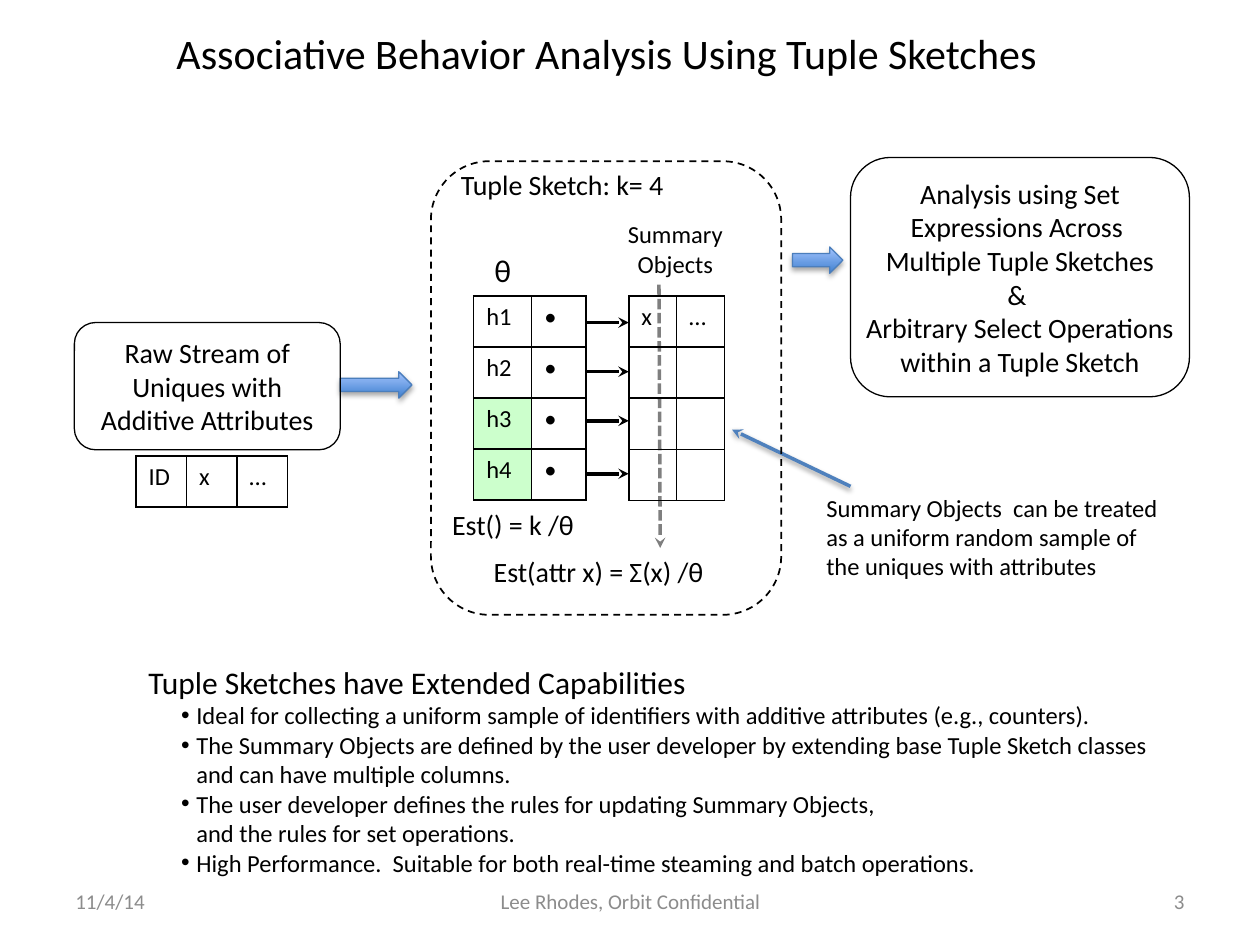
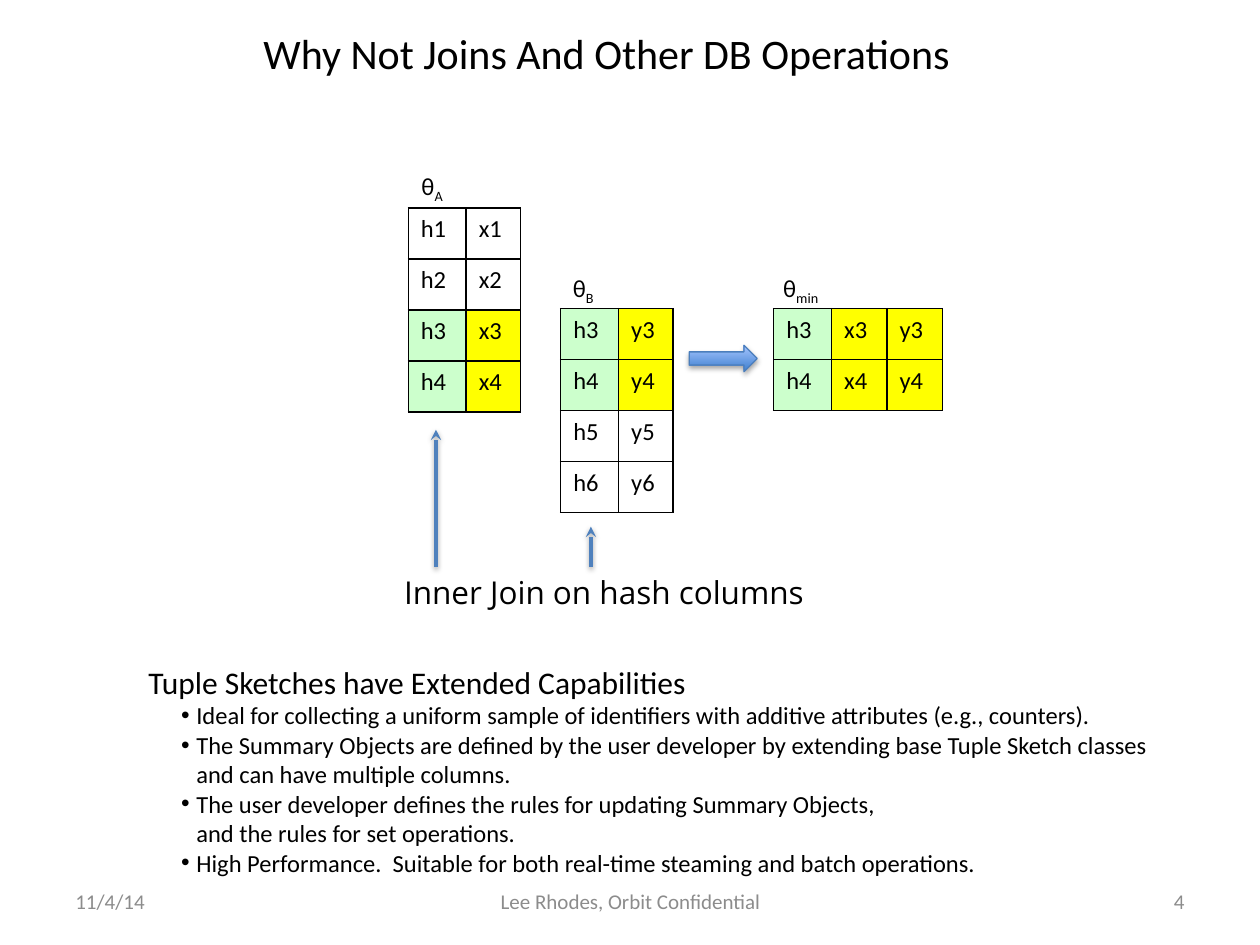
from lxml import etree
from pptx import Presentation
from pptx.dml.color import RGBColor
from pptx.enum.dml import MSO_LINE
from pptx.enum.shapes import MSO_CONNECTOR, MSO_SHAPE
from pptx.enum.text import MSO_ANCHOR, PP_ALIGN as Align
from pptx.oxml.ns import qn
from pptx.util import Inches, Pt

BLACK = RGBColor(0x00, 0x00, 0x00)
GREY = RGBColor(0x8C, 0x8C, 0x8C)
BLUE = RGBColor(0x4F, 0x81, 0xBD)
ARROW_EDGE = RGBColor(0x4B, 0x7E, 0xBC)
ARROW_DARK = RGBColor(0x3F, 0x80, 0xCE)
ARROW_LIGHT = RGBColor(0xA4, 0xC4, 0xFF)
GREEN = RGBColor(0xCC, 0xFF, 0xCC)
YELLOW = RGBColor(0xFF, 0xFF, 0x00)
FONT = "Calibri"
ROW_HEIGHT = 1.62 / 4
HASH_COLS = [0.46, 0.43]

CAPABILITIES = [
    "Tuple Sketches have Extended Capabilities",
    "Ideal for collecting a uniform sample of identifiers with additive attributes (e.g., counters).",
    "The Summary Objects are defined by the user developer by extending base Tuple Sketch classes\n"
    "and can have multiple columns.",
    "The user developer defines the rules for updating Summary Objects, \n"
    "and the rules for set operations.",
    "High Performance.  Suitable for both real-time steaming and batch operations.",
]

# Places are left, top, width, height; pointers are from x, y to x, y
PAGES = [
    {
        "title": "Associative Behavior Analysis Using Tuple Sketches",
        "number": "3",
        "summary_line": [(5.23, 2.26, 5.24, 4.35)],
        "row_links": [(4.65, y, 4.99, y) for y in (2.56, 2.95, 3.34, 3.76)],
        "pointers": [(6.75, 3.86, 5.81, 3.41)],
        "arrows": [(2.7, 2.95, 0.57, 0.21), (6.29, 1.96, 0.4, 0.21)],
        "boxes": [
            ((6.75, 1.25, 2.69, 1.9), 0, [
                "Analysis using Set Expressions Across ",
                "Multiple Tuple Sketches\n& ",
                "Arbitrary Select Operations\nwithin a Tuple Sketch"]),
            ((3.42, 1.28, 2.78, 3.6), 0.1, []),
            ((0.59, 2.56, 2.11, 1.01), 0.1,
             ["Raw Stream of\nUniques with\nAdditive Attributes"]),
        ],
        "tables": [
            (4.99, 2.35, [0.38, 0.38], [["x", "…"]] + [["", ""]] * 3),
            (3.76, 2.35, HASH_COLS, [[f"h{row}", "•"] for row in range(1, 5)]),
            (1.08, 3.62, [0.4] * 3, [["ID", "x", "…"]]),
        ],
        "labels": [
            ("Tuple Sketch: k= 4", "", (3.56, 1.28, 2.41, 0.37), 16, Align.LEFT, FONT),
            ("Est() = k /θ", "", (3.49, 3.98, 1.36, 0.37), 16, Align.LEFT, FONT),
            ("θ", "", (3.76, 1.94, 0.46, 0.4), 18, Align.CENTER, FONT),
            ("Summary Objects  can be treated as a uniform random sample of "
             "the uniques with attributes", "", (6.46, 3.86, 2.93, 0.81), 14, Align.LEFT, FONT),
            ("Summary\nObjects", "", (4.76, 1.69, 1.2, 0.57), 14, Align.CENTER, FONT),
            ("Est(attr x) = Σ(x) /θ", "", (3.82, 4.35, 2.5, 0.37), 16, Align.LEFT, FONT),
        ],
    },
    {
        "title": "Why Not Joins And Other DB Operations",
        "number": "4",
        "summary_line": [],
        "row_links": [],
        "pointers": [(3.46, 4.5, 3.46, 3.41), (4.69, 4.5, 4.69, 4.18)],
        "arrows": [(5.47, 2.74, 0.54, 0.21)],
        "boxes": [],
        "tables": [
            (3.24, 1.65, HASH_COLS, [[f"h{row}", f"x{row}"] for row in range(1, 5)]),
            (4.45, 2.45, HASH_COLS, [[f"h{row}", f"y{row}"] for row in range(3, 7)]),
            (6.14, 2.45, [0.46, 0.44, 0.44],
             [[f"h{row}", f"x{row}", f"y{row}"] for row in (3, 4)]),
        ],
        "labels": [
            ("θ", "A", (3.2, 1.31, 0.46, 0.34), 14, Align.CENTER, FONT),
            ("θ", "B", (4.4, 2.12, 0.46, 0.34), 14, Align.CENTER, FONT),
            ("θ", "min", (6.06, 2.12, 0.59, 0.34), 14, Align.CENTER, FONT),
            ("Inner Join on hash columns", "", (3.01, 4.5, 3.57, 0.4), 18,
             Align.CENTER, "Open Sans"),
        ],
    },
]
JOINED_FILLS = {f"{column}{row}": GREEN if column == "h" else YELLOW
                for column in "hxy" for row in (3, 4)}


def write(frame, lines, size, align=Align.LEFT, color=BLACK, font=FONT, subscript=""):
    """Fill a text frame, one paragraph for each line."""
    frame.word_wrap = True
    for index, line in enumerate(lines):
        para = frame.paragraphs[0] if index == 0 else frame.add_paragraph()
        para.text = line
        para.alignment = align
        if subscript:
            span = para.add_run()
            span.text = subscript
            span.font._element.set("baseline", "-25000")
        for span in para.runs:
            span.font.size = Pt(size)
            span.font.name = font
            span.font.color.rgb = color


def set_shadow(shape, distance=0, opacity=0):
    """Replace the theme shadow by a soft one below, or by none."""
    effects = etree.SubElement(shape._element.spPr, qn("a:effectLst"))
    if opacity:
        shadow = etree.SubElement(effects, qn("a:outerShdw"), blurRad=str(Pt(3.1)),
                                  dist=str(Pt(distance)), dir="5400000", rotWithShape="0")
        tint = etree.SubElement(shadow, qn("a:srgbClr"), val="000000")
        etree.SubElement(tint, qn("a:alpha"), val=str(opacity * 1000))


deck = Presentation()
deck.slide_width, deck.slide_height = Inches(10), Inches(7.5)

for content in PAGES:
    page = deck.slides.add_slide(deck.slide_layouts[5])

    # Title
    title = page.shapes.title
    title.left, title.top, title.width, title.height = map(Inches, (1.24, 0.17, 7.15, 0.5))
    write(title.text_frame, [content["title"]], 24, Align.CENTER)

    # Connectors
    for kind, color in (("summary_line", BLACK), ("row_links", BLACK), ("pointers", BLUE)):
        for ends in content[kind]:
            link = page.shapes.add_connector(MSO_CONNECTOR.STRAIGHT, *map(Inches, ends))
            link.line.width = Pt(2)
            link.line.color.rgb = color
            outline = link._element.spPr.find(qn("a:ln"))
            if kind == "summary_line":
                link.line.dash_style = MSO_LINE.SQUARE_DOT
                tint = outline.find(".//" + qn("a:srgbClr"))
                etree.SubElement(tint, qn("a:alpha"), val="50000")
            etree.SubElement(outline, qn("a:tailEnd"), type="stealth")
            set_shadow(link, 1.6, 38 if kind == "pointers" else 0)

    # Block arrows
    for place in content["arrows"]:
        arrow = page.shapes.add_shape(MSO_SHAPE.RIGHT_ARROW, *map(Inches, place))
        arrow.fill.gradient()
        arrow.fill.gradient_angle = 90
        for stop, color in zip(arrow.fill.gradient_stops, (ARROW_DARK, ARROW_LIGHT)):
            stop.color.rgb = color
        arrow.line.color.rgb = ARROW_EDGE
        arrow.line.width = Pt(0.75)
        set_shadow(arrow, 1.8, 35)

    # Rounded boxes; the one without text is the dashed sketch frame
    for place, side_margin, lines in content["boxes"]:
        box = page.shapes.add_shape(MSO_SHAPE.ROUNDED_RECTANGLE, *map(Inches, place))
        box.fill.background()
        box.line.color.rgb = BLACK
        box.line.width = Pt(0.75 if lines else 1)
        if not lines:
            box.line.dash_style = MSO_LINE.DASH
        set_shadow(box)
        frame = box.text_frame
        frame.margin_left = frame.margin_right = Inches(side_margin)
        frame.vertical_anchor = MSO_ANCHOR.MIDDLE
        write(frame, lines, 16, Align.CENTER)

    # Tables
    for left, top, widths, rows in content["tables"]:
        table = page.shapes.add_table(
            len(rows), len(widths), Inches(left), Inches(top),
            Inches(sum(widths)), Inches(ROW_HEIGHT * len(rows))).table
        table.first_row = table.horz_banding = False
        for column, width in zip(table.columns, widths):
            column.width = Inches(width)
        for cell, text in zip(table.iter_cells(), sum(rows, [])):
            if text:
                write(cell.text_frame, [text], 14)
            if text in JOINED_FILLS:
                cell.fill.solid()
                cell.fill.fore_color.rgb = JOINED_FILLS[text]
            else:
                cell.fill.background()
            properties = cell._tc.get_or_add_tcPr()
            for index, side in enumerate(("lnL", "lnR", "lnT", "lnB")):
                border = etree.Element(qn("a:" + side), w=str(Pt(1)))
                paint = etree.SubElement(border, qn("a:solidFill"))
                etree.SubElement(paint, qn("a:srgbClr"), val=str(BLACK))
                properties.insert(index, border)

    # Labels
    for text, subscript, place, size, align, font in content["labels"]:
        label = page.shapes.add_textbox(*map(Inches, place))
        write(label.text_frame, [text], size, align, font=font, subscript=subscript)

    # Capabilities: a heading and its bullets
    notes = page.shapes.add_textbox(*map(Inches, (1.08, 5.21, 8.42, 1.82)))
    write(notes.text_frame, CAPABILITIES, 14)
    heading, *bullets = notes.text_frame.paragraphs
    heading.runs[0].font.size = Pt(18)
    for para in bullets:
        para.level = 1
        properties = para._p.get_or_add_pPr()
        properties.set("marL", str(Inches(0.38)))
        properties.set("indent", str(Inches(-0.12)))
        etree.SubElement(properties, qn("a:buFont"), typeface="Arial")
        etree.SubElement(properties, qn("a:buChar"), char="•")

    # Footer
    for text, left, width, align in (
            ("11/4/14", 0.5, 2.33, Align.LEFT),
            ("Lee Rhodes, Orbit Confidential", 3.42, 3.17, Align.CENTER),
            (content["number"], 7.17, 2.33, Align.RIGHT)):
        footer = page.shapes.add_textbox(*map(Inches, (left, 6.95, width, 0.4)))
        footer.text_frame.vertical_anchor = MSO_ANCHOR.MIDDLE
        write(footer.text_frame, [text], 12, align, GREY)

deck.save("out.pptx")
